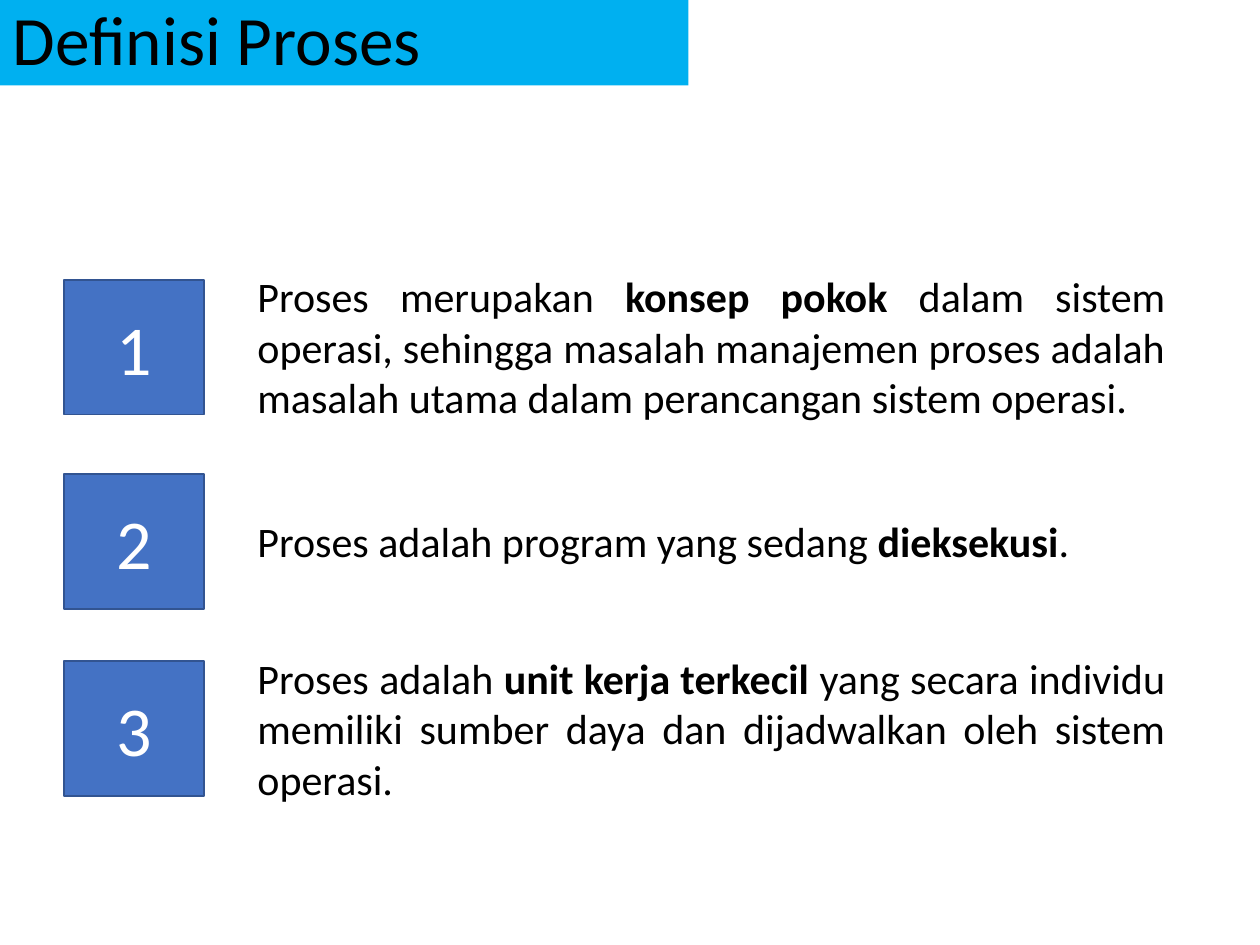
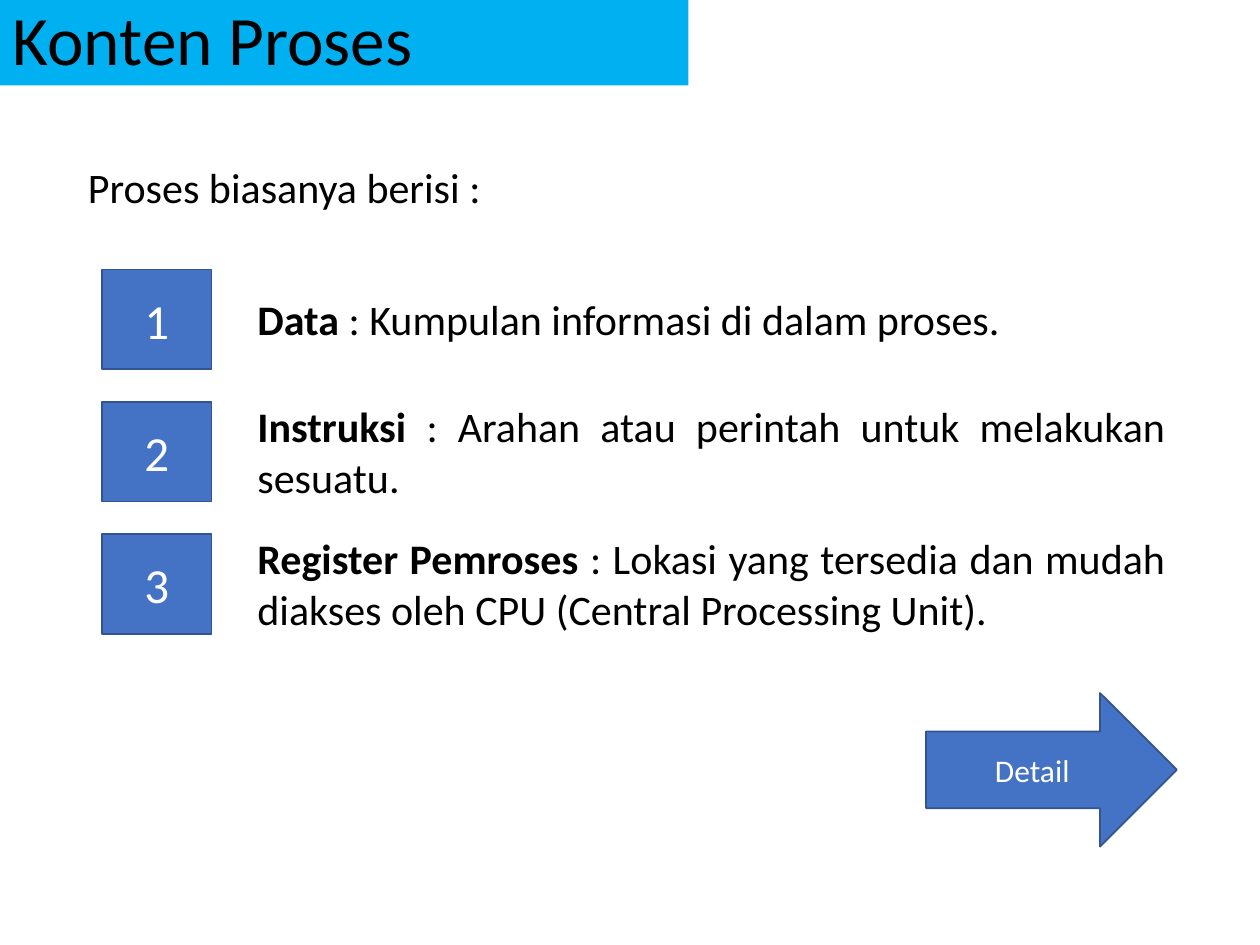
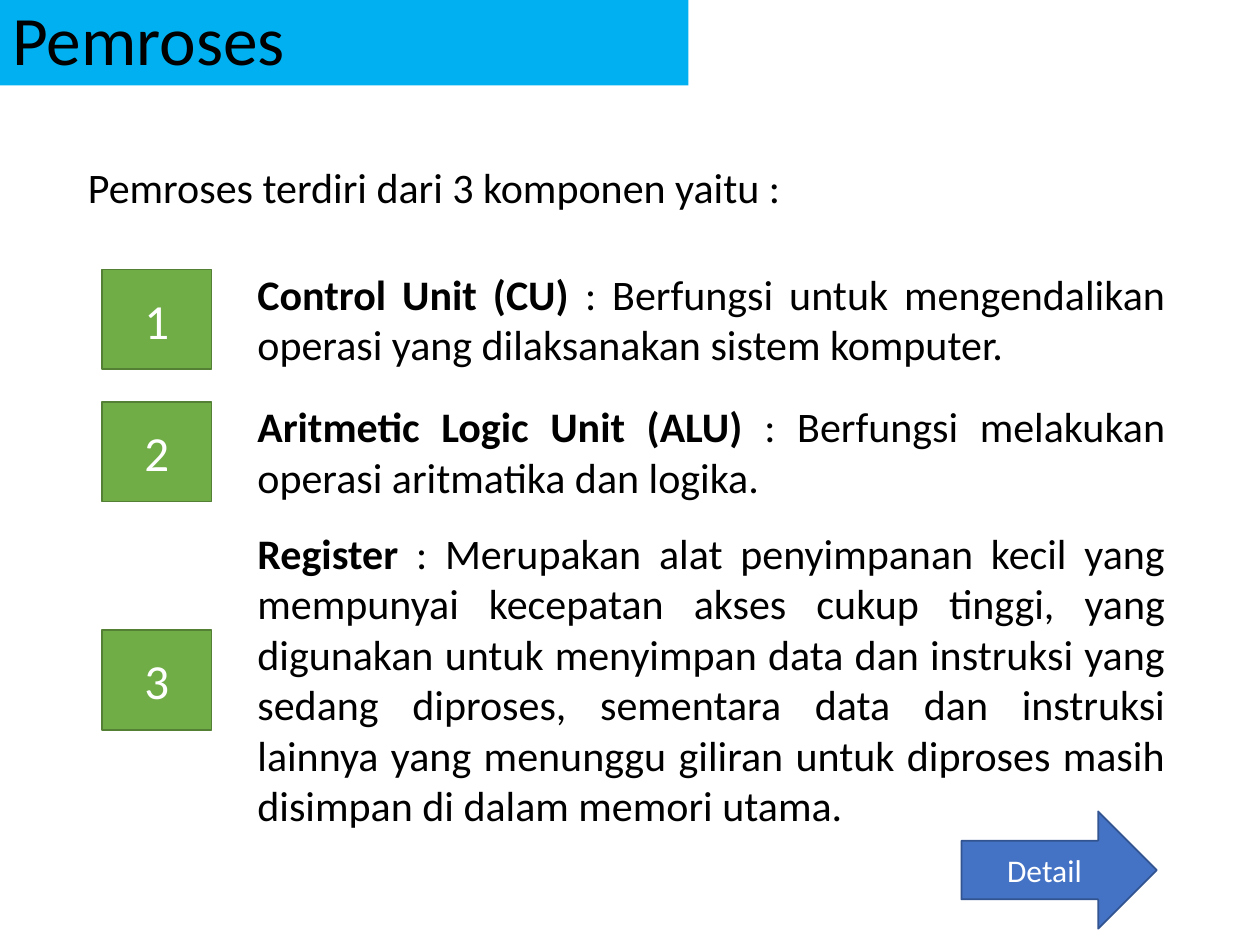
from dataclasses import dataclass

from pptx import Presentation
from pptx.dml.color import RGBColor
from pptx.enum.shapes import MSO_SHAPE
from pptx.enum.text import MSO_ANCHOR, MSO_AUTO_SIZE, PP_ALIGN
from pptx.shapes.autoshape import Shape
from pptx.slide import Slide
from pptx.text.text import Font
from pptx.util import Pt

RECTANGLE = MSO_SHAPE.RECTANGLE
RIGHT_ARROW = MSO_SHAPE.RIGHT_ARROW
MIDDLE = MSO_ANCHOR.MIDDLE
FIT_SHAPE, NO_FIT = MSO_AUTO_SIZE.SHAPE_TO_FIT_TEXT, MSO_AUTO_SIZE.NONE
LEFT, CENTER, JUSTIFY = PP_ALIGN.LEFT, PP_ALIGN.CENTER, PP_ALIGN.JUSTIFY

BLACK = RGBColor(0x00, 0x00, 0x00)
WHITE = RGBColor(0xFF, 0xFF, 0xFF)
SKY = RGBColor(0x00, 0xB0, 0xF0)
BLUE = RGBColor(0x44, 0x72, 0xC4)
DARK_BLUE = RGBColor(0x32, 0x54, 0x91)
GREEN = RGBColor(0x70, 0xAD, 0x47)
DARK_GREEN = RGBColor(0x53, 0x80, 0x35)

FONT = "Calibri"
TITLE_ONLY = 5
BODY_SIZE = 24
LINE_HEIGHT = 29.05
INSETS = 7.2
ITEM_LEFT, ITEM_WIDTH = 140, 533
INTRO_LEFT, INTRO_WIDTH, INTRO_CENTER = 43.2, 629.3, 106.7
FIRST_CENTER, ROW_PITCH = 182.5, 75.6


@dataclass(frozen=True)
class Box:
    left: float
    top: float
    width: float
    height: float


@dataclass(frozen=True)
class BadgeStyle:
    left: float
    width: float
    height: float
    size: float
    fill: RGBColor = BLUE
    line: RGBColor = DARK_BLUE


@dataclass(frozen=True)
class Item:
    center: float
    lines: int
    before: str
    bold: str
    after: str


@dataclass(frozen=True)
class Topic:
    title: str
    badge: BadgeStyle
    items: tuple[Item, ...]
    intro: str = ""
    arrow: Box | None = None


LARGE_BLUE = BadgeStyle(36.7, 80, 77, 40)
SMALL_BLUE = BadgeStyle(58.3, 62.6, 57, 28)
SMALL_GREEN = BadgeStyle(58.3, 62.6, 57, 28, GREEN, DARK_GREEN)

TOPICS = (
    Topic("Definisi Proses", LARGE_BLUE, (
        Item(198.4, 3, "Proses merupakan ", "konsep pokok",
             " dalam sistem operasi, sehingga masalah manajemen proses adalah "
             "masalah utama dalam perancangan sistem operasi."),
        Item(309.4, 1, "Proses adalah program yang sedang ", "dieksekusi", "."),
        Item(416.4, 3, "Proses adalah ", "unit kerja terkecil",
             " yang secara individu memiliki sumber daya dan dijadwalkan "
             "oleh sistem operasi."),
    )),
    Topic("Konten Proses", SMALL_BLUE, (
        Item(FIRST_CENTER, 1, "", "Data ",
             ": Kumpulan informasi di dalam proses."),
        Item(FIRST_CENTER + ROW_PITCH, 2, "", "Instruksi ",
             ": Arahan atau perintah untuk melakukan sesuatu."),
        Item(FIRST_CENTER + 2 * ROW_PITCH, 2, "", "Register Pemroses ",
             ": Lokasi yang tersedia dan mudah diakses oleh CPU "
             "(Central Processing Unit)."),
    ), "Proses biasanya berisi :", Box(529.2, 396, 143.3, 87.8)),
    Topic("Pemroses", SMALL_GREEN, (
        Item(FIRST_CENTER, 2, "", "Control Unit (CU) ",
             ": Berfungsi untuk mengendalikan operasi yang dilaksanakan "
             "sistem komputer."),
        Item(FIRST_CENTER + ROW_PITCH, 2, "", "Aritmetic Logic Unit (ALU) ",
             ": Berfungsi melakukan operasi aritmatika dan logika."),
        Item(388.6, 6, "", "Register",
             " : Merupakan alat penyimpanan kecil yang mempunyai kecepatan akses "
             "cukup tinggi, yang digunakan untuk menyimpan data dan instruksi yang "
             "sedang diproses, sementara data dan instruksi lainnya yang menunggu "
             "giliran untuk diproses masih disimpan di dalam memori utama."),
    ), "Pemroses terdiri dari 3 komponen yaitu :", Box(549.4, 463.7, 111.6, 67)),
)


def points(box: Box) -> tuple[Pt, Pt, Pt, Pt]:
    return Pt(box.left), Pt(box.top), Pt(box.width), Pt(box.height)


def style_font(font: Font, size: float, color: RGBColor, bold: bool = False) -> None:
    font.name = FONT
    font.size = Pt(size)
    font.bold = bold
    font.color.rgb = color


def add_title(s: Slide, text: str) -> None:
    sp = s.shapes.title
    sp.left, sp.top, sp.width, sp.height = points(Box(0, 0, 393.4, 48.8))
    sp.fill.solid()
    sp.fill.fore_color.rgb = SKY
    tf = sp.text_frame
    tf.text = text
    tf.auto_size = NO_FIT
    tf.vertical_anchor = MIDDLE
    p = tf.paragraphs[0]
    p.alignment = LEFT
    p.line_spacing = 0.9
    style_font(p.runs[0].font, 39.6, BLACK)


def add_label(s: Slide, kind: MSO_SHAPE, box: Box, text: str, size: float,
              fill: RGBColor, line: RGBColor) -> Shape:
    sp = s.shapes.add_shape(kind, *points(box))
    sp.shadow.inherit = False
    sp.fill.solid()
    sp.fill.fore_color.rgb = fill
    sp.line.color.rgb = line
    sp.line.width = Pt(1)
    tf = sp.text_frame
    tf.text = text
    tf.vertical_anchor = MIDDLE
    p = tf.paragraphs[0]
    p.alignment = CENTER
    style_font(p.runs[0].font, size, WHITE)
    return sp


def add_body(s: Slide, left: float, width: float, center: float, lines: int,
             pieces: tuple[tuple[str, bool], ...]) -> None:
    height = lines * LINE_HEIGHT + INSETS
    sp = s.shapes.add_textbox(*points(Box(left, center - height / 2, width, height)))
    tf = sp.text_frame
    tf.word_wrap = True
    tf.auto_size = FIT_SHAPE
    p = tf.paragraphs[0]
    p.alignment = JUSTIFY
    for text, bold in pieces:
        if text:
            r = p.add_run()
            r.text = text
            style_font(r.font, BODY_SIZE, BLACK, bold)


def add_item(s: Slide, number: int, item: Item, badge: BadgeStyle) -> None:
    add_body(s, ITEM_LEFT, ITEM_WIDTH, item.center, item.lines,
             ((item.before, False), (item.bold, True), (item.after, False)))
    box = Box(badge.left, item.center - badge.height / 2, badge.width, badge.height)
    add_label(s, RECTANGLE, box, str(number), badge.size, badge.fill, badge.line)


def add_topic(prs: Presentation, topic: Topic) -> None:
    s = prs.slides.add_slide(prs.slide_layouts[TITLE_ONLY])
    add_title(s, topic.title)
    if topic.arrow:
        add_label(s, RIGHT_ARROW, topic.arrow, "Detail", 18, BLUE, DARK_BLUE)
    if topic.intro:
        add_body(s, INTRO_LEFT, INTRO_WIDTH, INTRO_CENTER, 1, ((topic.intro, False),))
    for number, item in enumerate(topic.items, 1):
        add_item(s, number, item, topic.badge)


def main() -> None:
    prs = Presentation()
    prs.slide_width, prs.slide_height = Pt(720), Pt(540)
    for topic in TOPICS:
        add_topic(prs, topic)
    prs.save("out.pptx")


if __name__ == "__main__":
    main()
